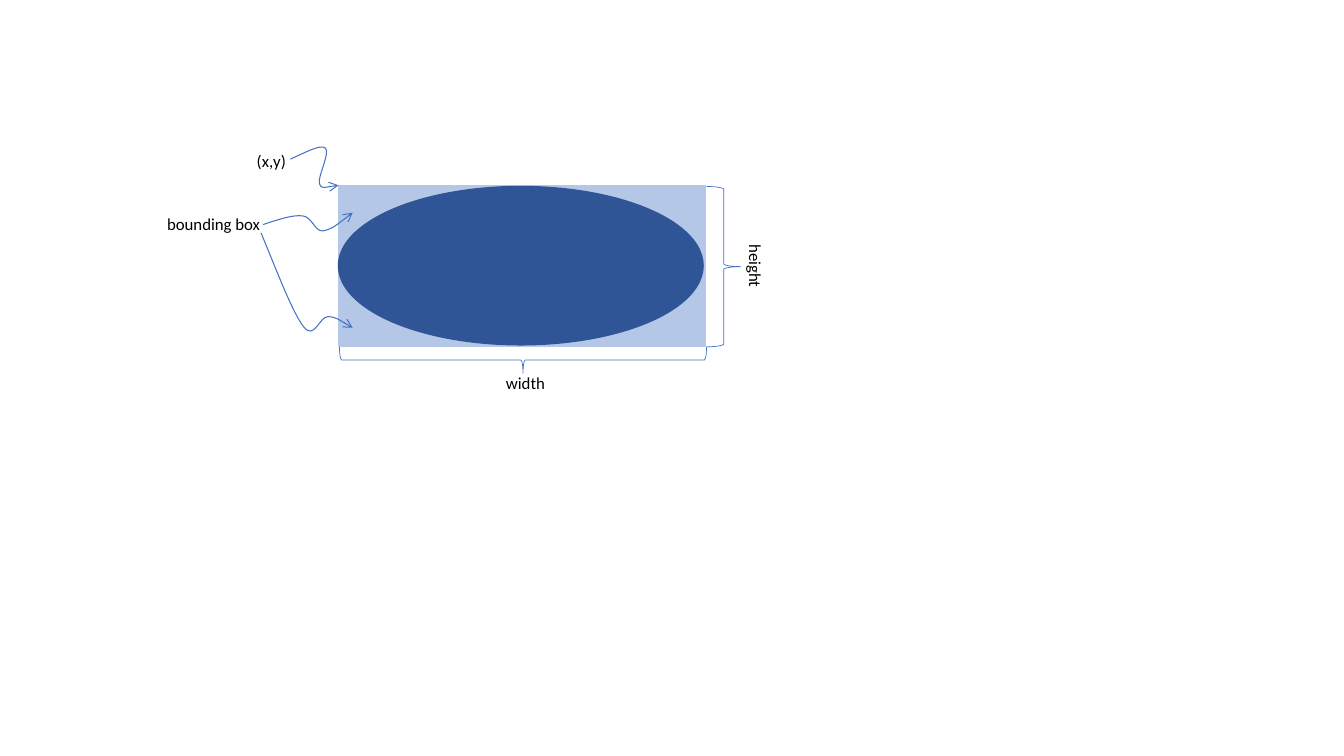
"""Builds a slide explaining the bounding box of an ellipse."""
import dataclasses

import pptx
import pptx.dml.color
import pptx.enum.shapes
import pptx.enum.text
import pptx.oxml.ns
import pptx.oxml.xmlchemy
import pptx.util

Cm = pptx.util.Cm
Pt = pptx.util.Pt
Kind = pptx.enum.shapes.MSO_SHAPE
Color = pptx.dml.color.RGBColor.from_string
Element = pptx.oxml.xmlchemy.OxmlElement
qn = pptx.oxml.ns.qn


@dataclasses.dataclass(frozen=True)
class Theme:
    font: str = "Calibri"
    label_size: float = 12
    text: str = "000000"
    bounds: str = "B4C7E7"
    ellipse: str = "2F5597"
    accent: str = "4472C4"
    outline_width: float = 1
    brace_width: float = 0.5
    arrow_width: float = 0.75


theme = Theme()


def style(shape, line_color, line_width, fill_color=None):
    """Sets the line and fill of a shape and removes its shadow."""
    shape.shadow.inherit = False
    shape.line.color.rgb = Color(line_color)
    shape.line.width = Pt(line_width)
    if fill_color:
        shape.fill.solid()
        shape.fill.fore_color.rgb = Color(fill_color)
    else:
        shape.fill.background()


deck = pptx.Presentation()
deck.slide_width, deck.slide_height = Cm(33.87), Cm(19.05)
page = deck.slides.add_slide(deck.slide_layouts[6])

areas = [
    (Kind.RECTANGLE, (8.53, 4.67, 9.25, 4.06), theme.bounds),
    (Kind.OVAL, (8.53, 4.7, 9.19, 3.99), theme.ellipse),
]
for kind, place, color in areas:
    area = page.shapes.add_shape(kind, *map(Cm, place))
    style(area, color, theme.outline_width, color)

braces = [
    ((12.85, 4.45, 0.66, 9.25), 90),
    ((17.81, 4.7, 0.86, 4.04), 0),
]
for place, rotation in braces:
    brace = page.shapes.add_shape(Kind.RIGHT_BRACE, *map(Cm, place))
    brace.rotation = rotation
    style(brace, theme.accent, theme.brace_width)

labels = [
    ("width", (12.5, 9.27, 1.5, 0.77), 0),
    ("height", (18.24, 6.32, 1.6, 0.77), 90),
    ("bounding box", (3.96, 5.26, 2.87, 0.77), 0),
    ("(x,y)", (6.22, 3.68, 1.24, 0.77), 0),
]
for wording, place, rotation in labels:
    box = page.shapes.add_textbox(*map(Cm, place))
    box.rotation = rotation
    box.text_frame.word_wrap = False
    box.text_frame.auto_size = pptx.enum.text.MSO_AUTO_SIZE.SHAPE_TO_FIT_TEXT
    span = box.text_frame.paragraphs[0].add_run()
    span.text = wording
    span.font.name = theme.font
    span.font.size = Pt(theme.label_size)
    span.font.color.rgb = Color(theme.text)

curved_arrows = [
    [(6.63, 5.66),
     (6.99, 5.54), (7.37, 5.41), (7.62, 5.44),
     (7.87, 5.46), (7.92, 5.82), (8.13, 5.82),
     (8.36, 5.79), (8.89, 5.36), (8.89, 5.36)],
    [(6.58, 5.87),
     (6.99, 6.86), (7.37, 7.87), (7.65, 8.23),
     (7.92, 8.59), (8.05, 7.98), (8.26, 7.98),
     (8.46, 7.98), (8.89, 8.26), (8.89, 8.26)],
    [(7.32, 4.01),
     (7.7, 3.84), (8.08, 3.63), (8.2, 3.73),
     (8.33, 3.84), (8, 4.47), (8.05, 4.62),
     (8.1, 4.78), (8.53, 4.67), (8.53, 4.67)],
]
for points in curved_arrows:
    start, *controls = [(Cm(x), Cm(y)) for x, y in points]
    builder = page.shapes.build_freeform(*start)
    builder.add_line_segments(controls, close=False)
    arrow = builder.convert_to_shape()
    style(arrow, theme.accent, theme.arrow_width)

    segments = list(arrow.element.iter(qn("a:lnTo")))
    for first in range(0, len(segments), 3):
        curve = Element("a:cubicBezTo")
        segments[first].addprevious(curve)
        for segment in segments[first:first + 3]:
            curve.append(segment[0])
            segment.getparent().remove(segment)

    head = Element("a:tailEnd")
    head.set("type", "arrow")
    arrow.element.spPr.find(qn("a:ln")).append(head)

deck.save("out.pptx")
